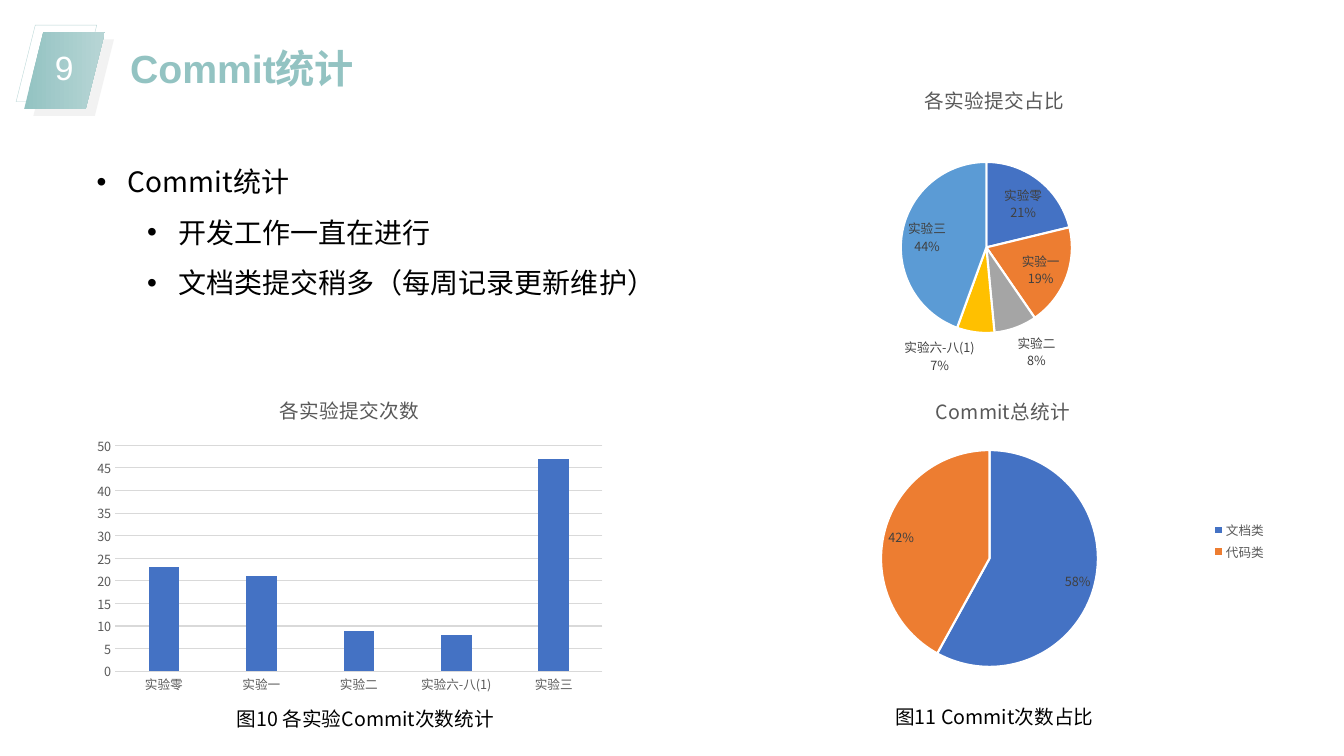
import pptx
import pptx.chart.data
import pptx.dml.color
import pptx.enum.chart
import pptx.enum.shapes
import pptx.enum.text
import pptx.oxml
import pptx.oxml.ns
import pptx.util
from lxml import etree

RGBColor = pptx.dml.color.RGBColor
ChartType = pptx.enum.chart.XL_CHART_TYPE
Align = pptx.enum.text.PP_ALIGN
Anchor = pptx.enum.text.MSO_ANCHOR
qn = pptx.oxml.ns.qn

TEAL = RGBColor(0x93, 0xC3, 0xC2)
PALE_TEAL = RGBColor(0xB7, 0xD5, 0xD5)
OUTLINE_TEAL = RGBColor(0xBA, 0xD7, 0xD7)
WHITE = RGBColor(0xFF, 0xFF, 0xFF)
BLACK = RGBColor(0x00, 0x00, 0x00)
SHADOW_GRAY = RGBColor(0xF2, 0xF2, 0xF2)
GRID_GRAY = RGBColor(0xD9, 0xD9, 0xD9)
AXIS_GRAY = RGBColor(0x59, 0x59, 0x59)
LABEL_GRAY = RGBColor(0x40, 0x40, 0x40)
BLUE = RGBColor(0x44, 0x72, 0xC4)
ORANGE = RGBColor(0xED, 0x7D, 0x31)
GRAY = RGBColor(0xA5, 0xA5, 0xA5)
GOLD = RGBColor(0xFF, 0xC0, 0x00)
LIGHT_BLUE = RGBColor(0x5B, 0x9B, 0xD5)
SLICE_COLORS = [BLUE, ORANGE, GRAY, GOLD, LIGHT_BLUE]

HEADING_FONT = "Arial"
BODY_FONT = "Noto Sans CJK SC"
EXPERIMENTS = ["实验零", "实验一", "实验二", "实验六-八(1)", "实验三"]


def set_font(font, size, color, name=BODY_FONT, bold=False):
    """Format a font, with the body face for its Chinese characters."""
    font.size = pptx.util.Pt(size)
    font.color.rgb = color
    font.name = name
    font.bold = bold
    etree.SubElement(font._rPr, qn("a:ea")).set("typeface", BODY_FONT)


def write_text(frame, text, size=14, color=BLACK, name=BODY_FONT, bold=False,
               align=Align.LEFT, spacing=None, new_paragraph=False):
    paragraph = frame.add_paragraph() if new_paragraph else frame.paragraphs[0]
    paragraph.alignment = align
    if spacing:
        paragraph.line_spacing = spacing
    run = paragraph.add_run()
    run.text = text
    set_font(run.font, size, color, name, bold)
    return paragraph


def add_bullet(paragraph, indent):
    properties = paragraph._p.get_or_add_pPr()
    properties.set("marL", str(pptx.util.Inches(indent)))
    properties.set("indent", str(-pptx.util.Inches(0.31)))
    etree.SubElement(properties, qn("a:buFont")).set("typeface", "Arial")
    etree.SubElement(properties, qn("a:buChar")).set("char", "•")


class SlideBuilder:
    """Places elements on one slide by a grid of 100 columns and 100 rows."""

    def __init__(self, presentation):
        self.column = presentation.slide_width / 100
        self.row = presentation.slide_height / 100
        self.slide = presentation.slides.add_slide(presentation.slide_layouts[5])
        self.shapes = self.slide.shapes

    def box(self, left, top, width, height):
        return (round(left * self.column), round(top * self.row),
                round(width * self.column), round(height * self.row))

    def title(self, area, text):
        title = self.shapes.title
        title.left, title.top, title.width, title.height = self.box(*area)
        title.text_frame.vertical_anchor = Anchor.TOP
        title.text_frame.auto_size = pptx.enum.text.MSO_AUTO_SIZE.NONE
        write_text(title.text_frame, text, size=28, color=TEAL,
                   name=HEADING_FONT, bold=True)

    def parallelogram(self, left, top):
        shape = self.shapes.add_shape(pptx.enum.shapes.MSO_SHAPE.PARALLELOGRAM,
                                      *self.box(left, top, 6, 10.13))
        shape.shadow.inherit = False
        shape.fill.background()
        shape.line.fill.background()
        return shape

    def text(self, area, text, wrap=True, anchor=Anchor.TOP, **style):
        frame = self.shapes.add_textbox(*self.box(*area)).text_frame
        frame.word_wrap = wrap
        frame.vertical_anchor = anchor
        write_text(frame, text, **style)

    def bullets(self, area, items):
        frame = self.shapes.add_textbox(*self.box(*area)).text_frame
        frame.word_wrap = True
        for index, (level, text) in enumerate(items):
            paragraph = write_text(frame, text, size=20, spacing=1.5,
                                   new_paragraph=index > 0)
            paragraph.level = level
            add_bullet(paragraph, 0.31 + 0.5 * level)

    def chart(self, area, kind, title, categories, values):
        data = pptx.chart.data.CategoryChartData()
        data.categories = categories
        data.add_series("Series 1", values)
        chart = self.shapes.add_chart(kind, *self.box(*area), data).chart
        set_font(chart.font, 10, BLACK)
        chart.has_legend = False
        chart.has_title = True
        write_text(chart.chart_title.text_frame, title, color=AXIS_GRAY,
                   align=Align.CENTER)
        return chart

    def pie(self, area, title, categories, values, show_names=False):
        chart = self.chart(area, ChartType.PIE, title, categories, values)
        series = chart.plots[0].series[0]
        for index, color in enumerate(SLICE_COLORS[:len(values)]):
            slice_format = series.points[index].format
            slice_format.fill.solid()
            slice_format.fill.fore_color.rgb = color
            slice_format.line.color.rgb = WHITE
            slice_format.line.width = pptx.util.Pt(1.5)
        labels = series.data_labels
        labels.show_value = False
        labels.show_percentage = True
        labels.show_category_name = show_names
        labels.position = pptx.enum.chart.XL_LABEL_POSITION.BEST_FIT
        set_font(labels.font, 9, LABEL_GRAY)
        separator = etree.Element(qn("c:separator"))
        separator.text = "\n"
        labels._element.find(qn("c:showBubbleSize")).addnext(separator)
        return chart

    def columns(self, area, title, categories, values):
        chart = self.chart(area, ChartType.COLUMN_CLUSTERED, title, categories, values)
        plot = chart.plots[0]
        plot.gap_width = 219
        plot.overlap = -27
        plot.vary_by_categories = False
        fill = plot.series[0].format.fill
        fill.solid()
        fill.fore_color.rgb = BLUE
        value_axis, category_axis = chart.value_axis, chart.category_axis
        for axis in (value_axis, category_axis):
            axis.major_tick_mark = pptx.enum.chart.XL_TICK_MARK.NONE
            set_font(axis.tick_labels.font, 9, AXIS_GRAY)
        value_axis.minimum_scale, value_axis.maximum_scale = 0, 50
        value_axis.major_unit = 5
        value_axis.format.line.fill.background()
        for line in (category_axis.format.line, value_axis.major_gridlines.format.line):
            line.color.rgb = GRID_GRAY
            line.width = pptx.util.Pt(0.75)


def set_plot_area(chart, **shares):
    """Fix the inner plot area by shares of the chart's size: x, y, w, h."""
    plot_area = chart._chartSpace.chart.plotArea
    for old_layout in plot_area.findall(qn("c:layout")):
        plot_area.remove(old_layout)
    layout = etree.Element(qn("c:layout"))
    plot_area.insert(0, layout)
    manual = etree.SubElement(layout, qn("c:manualLayout"))
    settings = {"layoutTarget": "inner", "xMode": "edge", "yMode": "edge", **shares}
    for name, value in settings.items():
        etree.SubElement(manual, qn("c:" + name)).set("val", str(value))


def add_number_badge(builder):
    outline = builder.parallelogram(1.2, 3.33)
    outline.line.color.rgb = OUTLINE_TEAL
    outline.line.width = pptx.util.Pt(0.25)
    backing = builder.parallelogram(2.48, 5.2)
    backing.fill.solid()
    backing.fill.fore_color.rgb = SHADOW_GRAY
    badge = builder.parallelogram(1.8, 4.27)
    badge.fill.gradient()
    badge.fill.gradient_angle = 0
    for stop, color, position in zip(badge.fill.gradient_stops, (TEAL, PALE_TEAL), (0, 0.99)):
        stop.color.rgb = color
        stop.position = position
    builder.text((2.48, 4.8, 4.58, 7.2), "9", wrap=False, anchor=Anchor.MIDDLE, size=24,
                 color=WHITE, name=HEADING_FONT, align=Align.CENTER, spacing=1.2)


def main():
    presentation = pptx.Presentation()
    presentation.slide_width = pptx.util.Inches(13.33)
    presentation.slide_height = pptx.util.Inches(7.5)
    builder = SlideBuilder(presentation)
    add_number_badge(builder)
    builder.title((8.93, 5.2, 34.28, 7.6), "Commit统计")
    builder.pie((54.54, 8.93, 38.93, 42.4), "各实验提交占比", EXPERIMENTS,
                [21, 19, 8, 7, 44], show_names=True)
    builder.columns((6.45, 50, 39.16, 42.53), "各实验提交次数", EXPERIMENTS,
                    [23, 21, 9, 8, 47])
    totals = builder.pie((54.31, 50.13, 40.66, 42.8), "Commit总统计",
                         ["文档类", "代码类"], [58, 42])
    set_plot_area(totals, x=0.12, y=0.22, w=0.71, h=0.67)
    totals.has_legend = True
    totals.legend.position = pptx.enum.chart.XL_LEGEND_POSITION.RIGHT
    totals.legend.include_in_layout = False
    set_font(totals.legend.font, 9, AXIS_GRAY)
    builder.bullets((6.45, 18.93, 45.54, 34.27),
                    [(0, "Commit统计"), (1, "开发工作一直在进行"),
                     (1, "文档类提交稍多（每周记录更新维护）")])
    builder.text((16.88, 92.8, 22.13, 4.53), "图10 各实验Commit次数统计")
    builder.text((65.87, 92.53, 22.13, 4.53), "图11 Commit次数占比")
    presentation.save("out.pptx")


if __name__ == "__main__":
    main()
